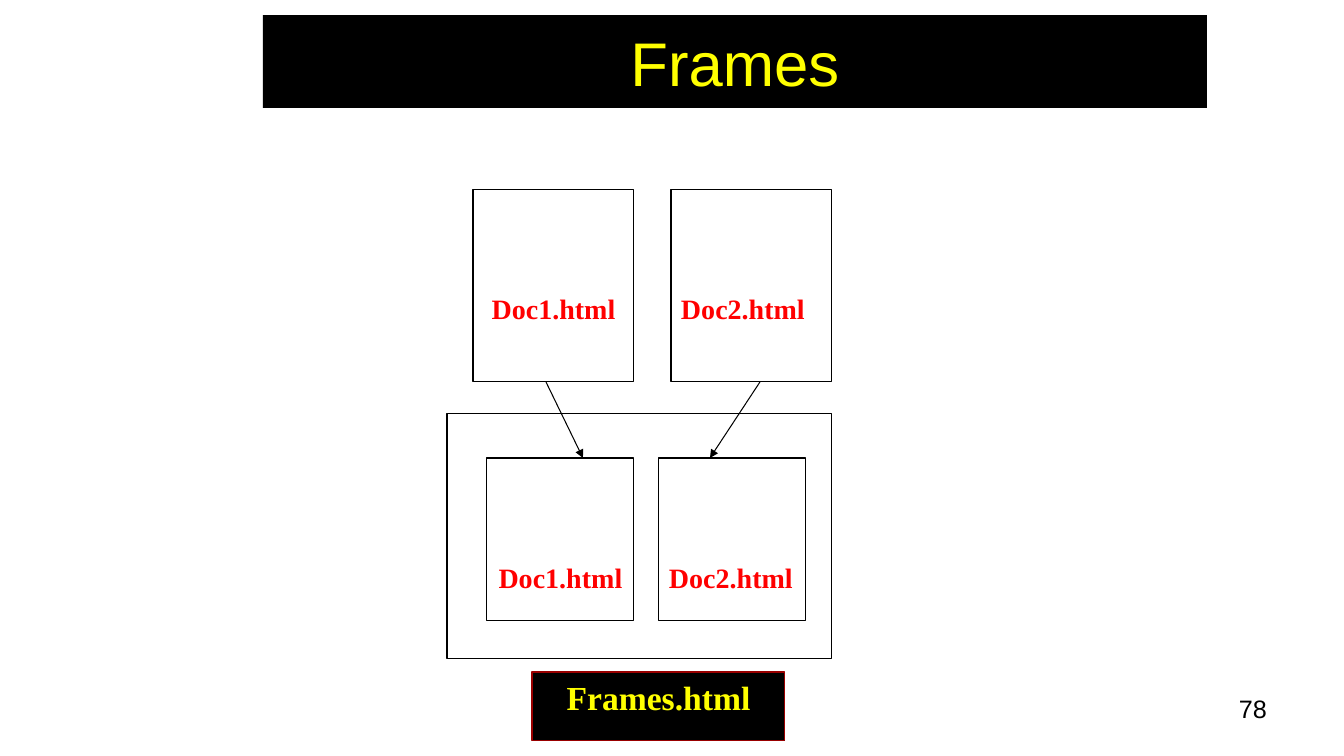
from dataclasses import dataclass

from lxml import etree
from pptx import Presentation
from pptx.dml.color import RGBColor
from pptx.enum.shapes import MSO_CONNECTOR, MSO_SHAPE
from pptx.enum.text import MSO_ANCHOR, MSO_AUTO_SIZE, PP_ALIGN
from pptx.oxml.ns import qn
from pptx.util import Pt

RECTANGLE = MSO_SHAPE.RECTANGLE
STRAIGHT = MSO_CONNECTOR.STRAIGHT
TOP, MIDDLE = MSO_ANCHOR.TOP, MSO_ANCHOR.MIDDLE
LEFT, CENTER, RIGHT = PP_ALIGN.LEFT, PP_ALIGN.CENTER, PP_ALIGN.RIGHT
NO_FIT = MSO_AUTO_SIZE.NONE
TITLE_ONLY = 5
SIDE_INSET, TOP_INSET, LABEL_DROP = 10, 5, 102


@dataclass(frozen=True)
class Theme:
    black: str = "000000"
    white: str = "FFFFFF"
    yellow: str = "FFFF00"
    red: str = "FF0000"
    dark_red: str = "990000"
    sans: str = "Arial"
    serif: str = "Times New Roman"
    title_size: int = 44
    caption_size: int = 24
    label_size: int = 20
    number_size: int = 18
    line_width: float = 0.75


THEME = Theme()


def px(length):
    return round(length * 914400 / 100.8)


def color(value):
    return RGBColor.from_string(value)


def write(shape, text, *, size, font, ink, bold=False, align=CENTER,
          anchor=TOP, top_inset=TOP_INSET):
    frame = shape.text_frame
    frame.word_wrap = True
    frame.auto_size = NO_FIT
    frame.vertical_anchor = anchor
    frame.margin_left = frame.margin_right = px(SIDE_INSET)
    frame.margin_top, frame.margin_bottom = px(top_inset), px(TOP_INSET)
    frame.text = text
    paragraph = frame.paragraphs[0]
    paragraph.alignment = align
    paragraph.font.size = Pt(size)
    paragraph.font.name = font
    paragraph.font.bold = bold
    paragraph.font.color.rgb = color(ink)


def add_box(slide, box, fill=THEME.white, line=THEME.black):
    shape = slide.shapes.add_shape(RECTANGLE, *map(px, box))
    shape.shadow.inherit = False
    shape.fill.solid()
    shape.fill.fore_color.rgb = color(fill)
    shape.line.color.rgb = color(line)
    shape.line.width = Pt(THEME.line_width)
    return shape


def add_arrow(slide, start, end):
    arrow = slide.shapes.add_connector(STRAIGHT, *map(px, (*start, *end)))
    arrow.line.color.rgb = color(THEME.black)
    arrow.line.width = Pt(THEME.line_width)
    etree.SubElement(arrow.line._get_or_add_ln(), qn("a:tailEnd"), type="triangle")
    etree.SubElement(arrow._element.spPr, qn("a:effectLst"))


def add_title(slide, box, text):
    title = slide.shapes.title
    title.left, title.top, title.width, title.height = map(px, box)
    title.fill.solid()
    title.fill.fore_color.rgb = color(THEME.black)
    write(title, text, size=THEME.title_size, font=THEME.sans,
          ink=THEME.yellow, anchor=MIDDLE)


def add_document_pair(slide, box, document_width):
    """Place the two documents against the left and right edges of the box."""
    left, top, width, height = box
    documents = (("Doc1.html", left, CENTER),
                 ("Doc2.html", left + width - document_width, LEFT))
    for name, document_left, align in documents:
        document = add_box(slide, (document_left, top, document_width, height))
        write(document, name, size=THEME.label_size, font=THEME.serif,
              ink=THEME.red, bold=True, align=align, top_inset=LABEL_DROP)


def add_frames_diagram(slide, box):
    """Draw source documents above the frameset page that shows them."""
    left, top, width, height = box
    right = left + width
    add_box(slide, (left, top + 224, width, 245))
    add_document_pair(slide, (left + 40, top + 268, width - 66, 163), 147)
    caption = add_box(slide, (left + 85, top + height - 69, 253, 69),
                      fill=THEME.black, line=THEME.dark_red)
    write(caption, "Frames.html", size=THEME.caption_size, font=THEME.serif,
          ink=THEME.yellow, bold=True)
    add_document_pair(slide, (left + 26, top, width - 26, 192), 161)
    for start_x, end_x in ((left + 99, left + 136), (right - 72, right - 122)):
        add_arrow(slide, (start_x, top + 192), (end_x, top + 268))


def add_page_number(slide, box, number):
    text_box = slide.shapes.add_textbox(*map(px, box))
    write(text_box, number, size=THEME.number_size, font=THEME.sans,
          ink=THEME.black, align=RIGHT)


def main():
    presentation = Presentation()
    presentation.slide_width, presentation.slide_height = px(1344), px(756)
    slide = presentation.slides.add_slide(presentation.slide_layouts[TITLE_ONLY])
    add_page_number(slide, (964, 688, 313, 52), "78")
    add_title(slide, (263, 15, 944, 93), "Frames")
    add_frames_diagram(slide, (447, 190, 385, 551))
    presentation.save("out.pptx")


if __name__ == "__main__":
    main()
